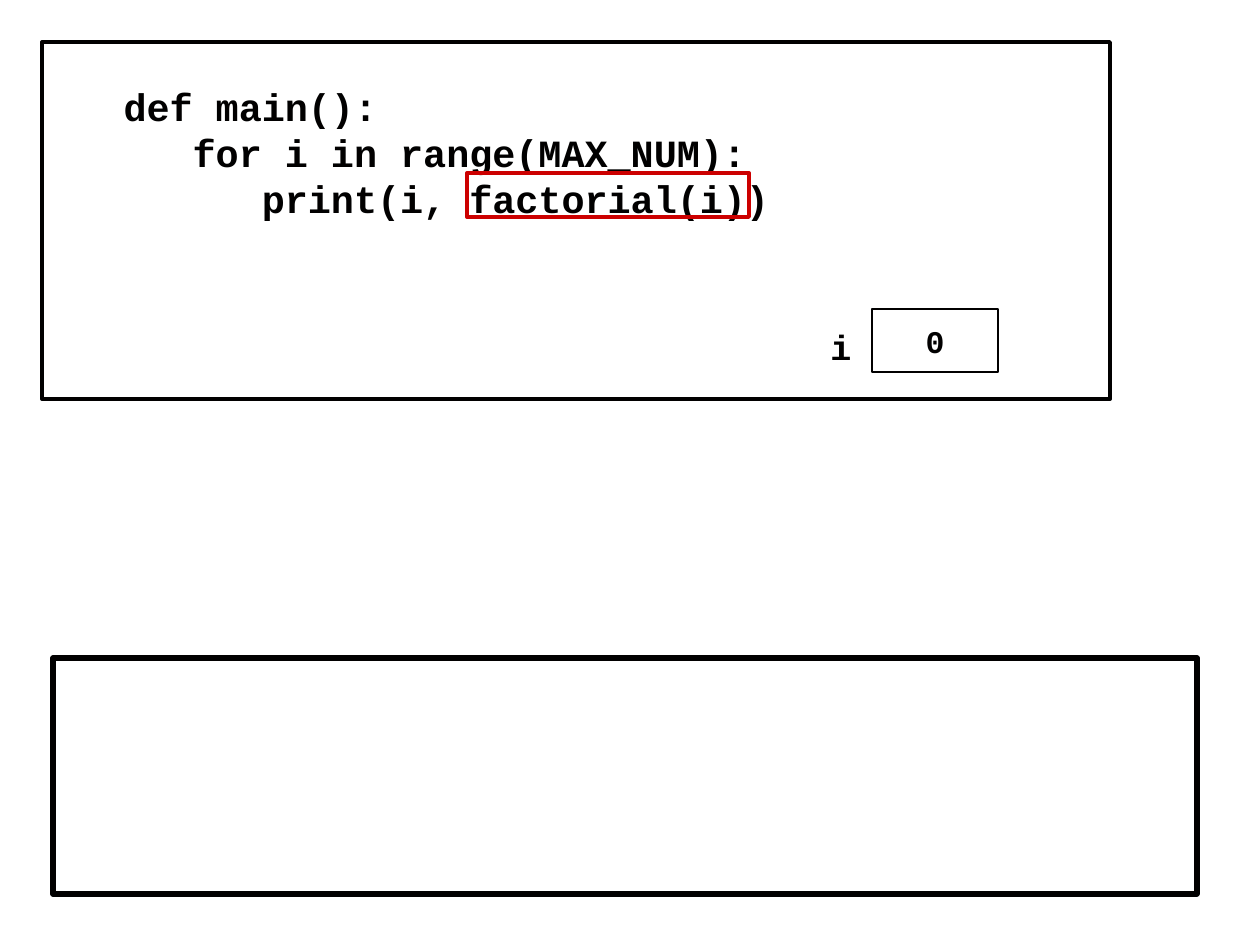
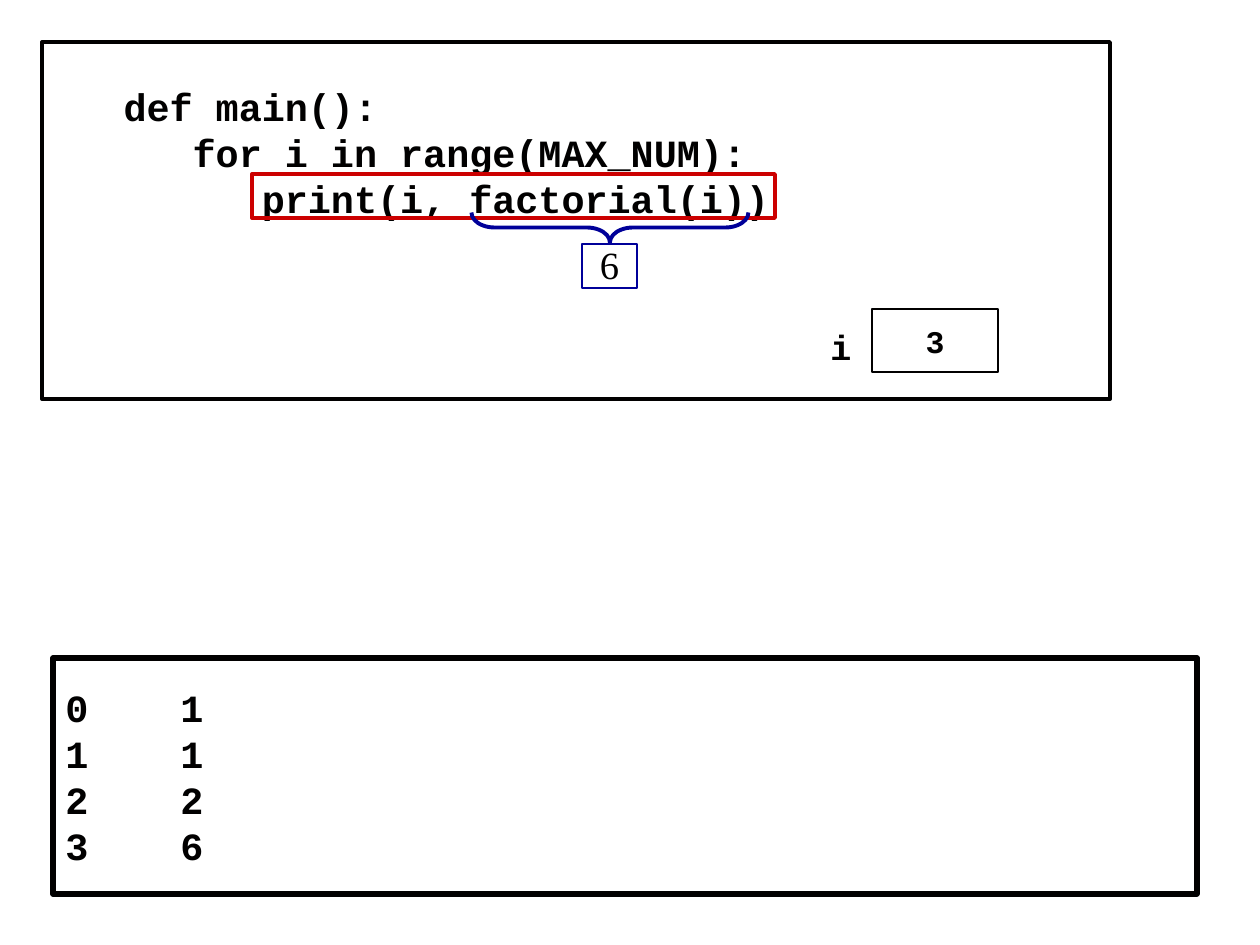
from pptx import Presentation
from pptx.dml.color import RGBColor
from pptx.enum.shapes import MSO_SHAPE
from pptx.enum.text import MSO_ANCHOR, PP_ALIGN
from pptx.oxml.ns import qn
from pptx.util import Pt
from lxml import etree

INK = RGBColor(0x01, 0x00, 0x00)
RED = RGBColor(0xCC, 0x00, 0x00)
BLUE = RGBColor(0x00, 0x00, 0x99)
WHITE = RGBColor(0xFF, 0xFF, 0xFF)
MONO, SERIF = "Courier New", "Times New Roman"

CODE = [
    "   def main():",
    "      for i in range(MAX_NUM):",
    "         print(i, factorial(i))",
]
STEPS = [
    {"i": "0", "highlight": (467, 173, 282, 44), "returned": None, "output": []},
    {"i": "3", "highlight": (252, 174, 523, 44), "returned": "6",
     "output": ["0\t1", "1\t1", "2\t2", "3\t6"]},
]

# Boxes in px: left, top, width, height
SLIDE_W, SLIDE_H = 1260, 945
CODE_BOX = (42, 42, 1068, 357)
VARIABLE_BOX = (872, 309, 126, 63)
VARIABLE_LABEL = (818, 319, 63, 54)
BRACE = (595, 89, 30, 277)
RETURN_BOX = (582, 244, 55, 44)
OUTPUT_BOX = (53, 658, 1144, 236)
CODE_TOP_MARGIN = 41
OUTPUT_TAB = 115


def px(n):
    return round(n * 914400 / 126)


def add_box(s, at, color, width, fill=None, kind=MSO_SHAPE.RECTANGLE):
    sp = s.shapes.add_shape(kind, *map(px, at))
    sp.shadow.inherit = False
    sp.line.color.rgb = color
    sp.line.width = Pt(width)
    if fill is None:
        sp.fill.background()
    else:
        sp.fill.solid()
        sp.fill.fore_color.rgb = fill
    return sp


def write(sp, lines, size, font=MONO, bold=True, align=PP_ALIGN.LEFT,
          anchor=MSO_ANCHOR.MIDDLE, wrap=True, tab=None):
    tf = sp.text_frame
    tf.word_wrap = wrap
    tf.vertical_anchor = anchor
    for n, line in enumerate(lines):
        p = tf.add_paragraph() if n else tf.paragraphs[0]
        p.text = line
        p.alignment = align
        if tab:
            stops = etree.SubElement(p._p.get_or_add_pPr(), qn("a:tabLst"))
            etree.SubElement(stops, qn("a:tab"), pos=str(px(tab)), algn="l")
        p.font.name = font
        p.font.size = Pt(size)
        p.font.bold = bold
        p.font.color.rgb = INK
    return tf


def add_code(s):
    sp = add_box(s, CODE_BOX, INK, 2.25, WHITE)
    tf = write(sp, CODE, 22, anchor=MSO_ANCHOR.TOP)
    tf.margin_top = px(CODE_TOP_MARGIN)


def add_variable(s, value):
    sp = add_box(s, VARIABLE_BOX, INK, 1.5, WHITE)
    write(sp, [value], 18, align=PP_ALIGN.CENTER)
    label = s.shapes.add_textbox(*map(px, VARIABLE_LABEL))
    write(label, ["i"], 20, anchor=MSO_ANCHOR.TOP)


def add_return_value(s, value):
    brace = add_box(s, BRACE, BLUE, 2.25, kind=MSO_SHAPE.LEFT_BRACE)
    brace.rotation = 270
    brace.adjustments[0] = 0.77
    sp = add_box(s, RETURN_BOX, BLUE, 1.5)
    tf = write(sp, [value], 22, SERIF, bold=False,
               align=PP_ALIGN.CENTER, wrap=False)
    tf.margin_top = px(3)


def main():
    prs = Presentation()
    prs.slide_width, prs.slide_height = px(SLIDE_W), px(SLIDE_H)
    for step in STEPS:
        s = prs.slides.add_slide(prs.slide_layouts[6])
        add_code(s)
        add_variable(s, step["i"])
        add_box(s, step["highlight"], RED, 2.25)
        if step["returned"]:
            add_return_value(s, step["returned"])
        console = add_box(s, OUTPUT_BOX, INK, 3)
        write(console, step["output"], 22, tab=OUTPUT_TAB)
    prs.save("out.pptx")


if __name__ == "__main__":
    main()
